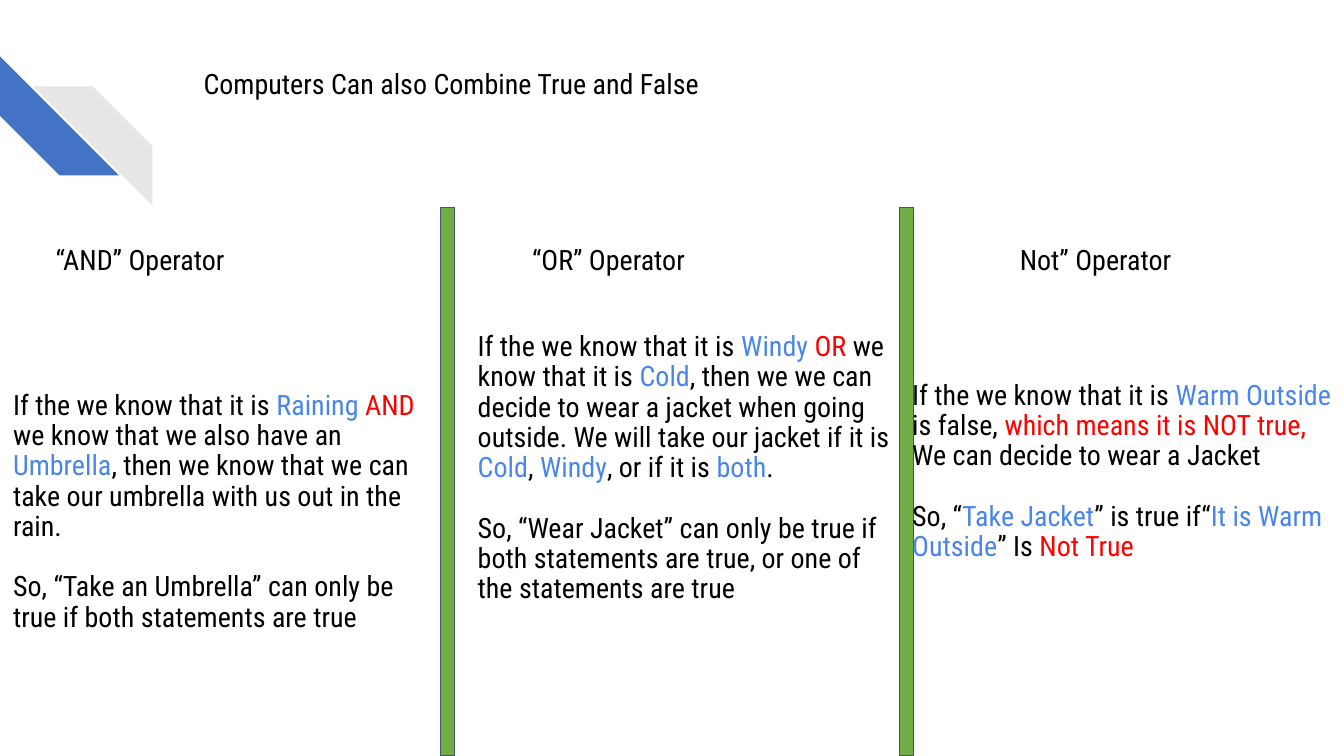
from pptx import Presentation
from pptx.dml.color import RGBColor
from pptx.enum import shapes, text
from pptx.util import Cm, Pt

BLACK = RGBColor(0x00, 0x00, 0x00)
BLUE = RGBColor(0x4A, 0x86, 0xE8)
RED = RGBColor(0xFF, 0x00, 0x00)
GREEN = RGBColor(0x70, 0xAD, 0x47)
SLATE = RGBColor(0x44, 0x54, 0x6A)
STRIPE_BLUE = RGBColor(0x44, 0x72, 0xC4)
STRIPE_GREY = RGBColor(0xE7, 0xE6, 0xE6)


def add_shape(kind, left, top, width, height, fill):
    sp = s.shapes.add_shape(kind, Cm(left), Cm(top), Cm(width), Cm(height))
    sp.shadow.inherit = False
    sp.fill.solid()
    sp.fill.fore_color.rgb = fill
    sp.line.fill.background()
    return sp


def write(sp, left, top, width, height, paragraphs):
    sp.left, sp.top, sp.width, sp.height = Cm(left), Cm(top), Cm(width), Cm(height)
    tf = sp.text_frame
    tf.word_wrap = True
    tf.auto_size = text.MSO_AUTO_SIZE.NONE
    tf.vertical_anchor = text.MSO_ANCHOR.TOP
    tf.margin_left = tf.margin_top = tf.margin_right = tf.margin_bottom = Cm(0.33)
    for i, runs in enumerate(paragraphs):
        p = tf.add_paragraph() if i else tf.paragraphs[0]
        p.alignment = text.PP_ALIGN.LEFT
        p.line_spacing = 0.9
        if i:
            p.space_before = Pt(21.6)
        p.font.name = "Roboto Condensed"
        p.font.size = Pt(20)
        p.font.color.rgb = BLACK
        for words, color in runs:
            r = p.add_run()
            r.text = words
            if color != BLACK:
                r.font.color.rgb = color


prs = Presentation()
prs.slide_width, prs.slide_height = Cm(33.87), Cm(19.05)
s = prs.slides.add_slide(prs.slide_layouts[5])

stripe = add_shape(shapes.MSO_SHAPE.DIAGONAL_STRIPE, 0, 1.42, 3, 3, STRIPE_BLUE)
stripe.rotation = 270
stripe = add_shape(shapes.MSO_SHAPE.DIAGONAL_STRIPE, 0.84, 2.18, 3, 3, STRIPE_GREY)
stripe._element.spPr.xfrm.set("flipH", "1")

write(s.shapes.title, 4.8, 1.45, 26.06, 3.38,
      [[("Computers Can also Combine True and False", BLACK)]])

for left in (11.1, 22.66):
    bar = add_shape(shapes.MSO_SHAPE.RECTANGLE, left, 5.23, 0.36, 13.82, GREEN)
    bar.line.color.rgb = SLATE
    bar.line.width = Pt(0.75)

and_rule = [
    [("If the we know that it is ", BLACK), ("Raining ", BLUE), ("AND", RED),
     (" we know that we also have an ", BLACK), ("Umbrella", BLUE),
     (", then we know that we can take our umbrella with us out in the rain.", BLACK)],
    [("So, “Take an Umbrella” can only be true if both statements are true", BLACK)],
]
or_rule = [
    [("If the we know that it is ", BLACK), ("Windy ", BLUE), ("OR", RED),
     (" we know that it is ", BLACK), ("Cold", BLUE),
     (", then we we can decide to wear a jacket when going outside. "
      "We will take our jacket if it is ", BLACK),
     ("Cold", BLUE), (", ", BLACK), ("Windy", BLUE), (", or if it is ", BLACK),
     ("both", BLUE), (".", BLACK)],
    [("So, “Wear Jacket” can only be true if both statements are true, "
      "or one of the statements are true", BLACK)],
]
not_rule = [
    [("If the we know that it is ", BLACK), ("Warm Outside", BLUE), (" is false, ", BLACK),
     ("which means it is NOT true, ", RED), ("We can decide to wear a Jacket", BLACK)],
    [("So, “", BLACK), ("Take Jacket", BLUE), ("” is true if“", BLACK),
     ("It is Warm Outside", BLUE), ("” Is ", BLACK), ("Not True", RED)],
]
operators = [
    ("“AND” Operator", 1.07, and_rule, 0, 9.53, 9.17),
    ("“OR” Operator", 13.08, or_rule, 11.71, 8.05, 11),
    ("Not” Operator", 25.37, not_rule, 22.66, 9.27, 9.17),
]
for heading, heading_left, rule, left, top, height in operators:
    sp = s.shapes.add_textbox(0, 0, 0, 0)
    write(sp, heading_left, 5.87, 6.6, 1.93, [[(heading, BLACK)]])
    sp = s.shapes.add_textbox(0, 0, 0, 0)
    write(sp, left, top, 11.3, height, rule)

prs.save("out.pptx")
